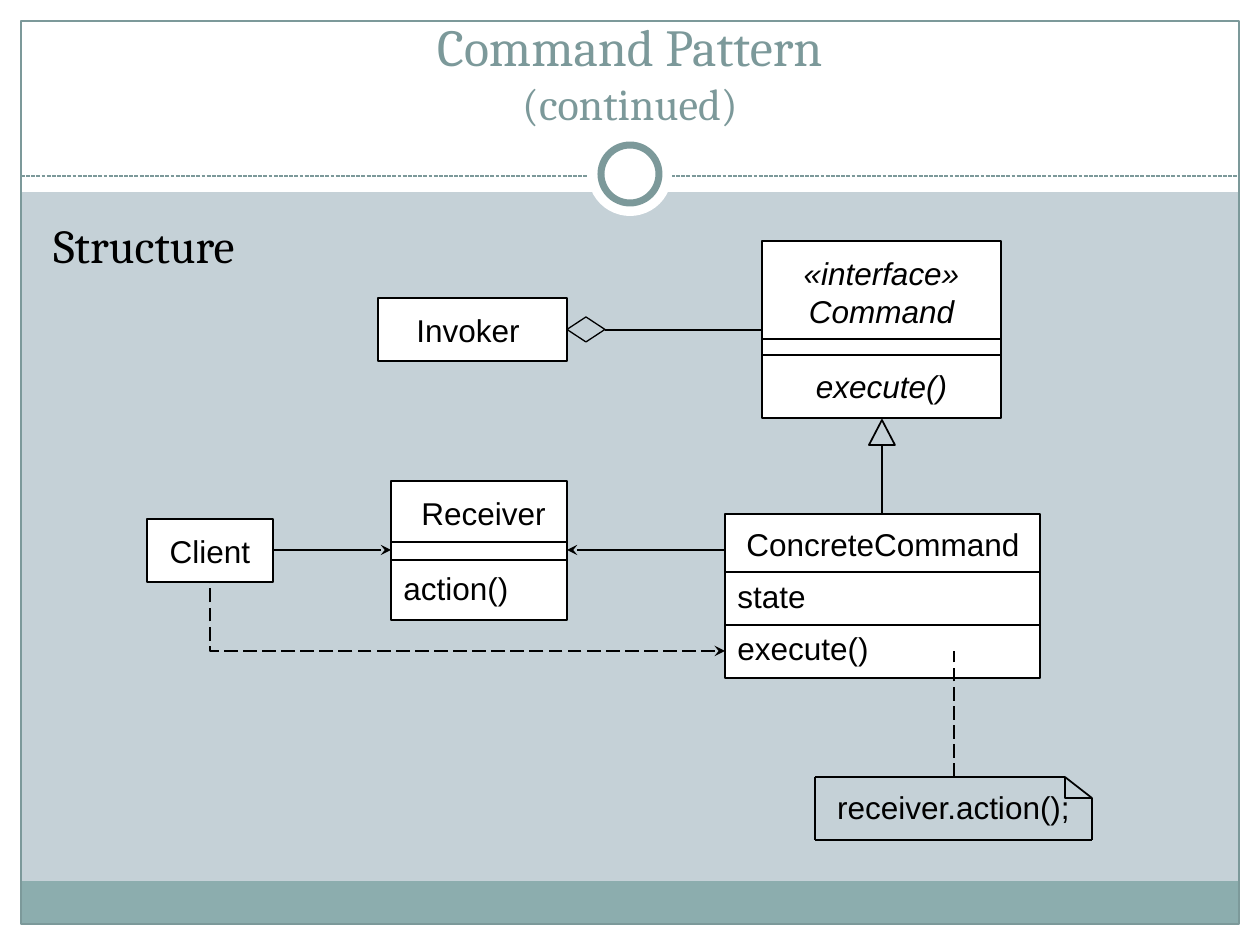
from pptx import Presentation, util as u
from pptx.dml import color
from pptx.enum import dml, shapes, text
from pptx.oxml import ns, xmlchemy

SCALE = 914400 / 126
WIDTH, HEIGHT = 1260, 945
MARGIN = 21
HEADER_BOTTOM, FOOTER_TOP = 192, 881
BLACK, WHITE, TEAL, SEA, MIST = "000000", "FFFFFF", "7C999A", "8CADAE", "C5D1D7"
LABEL = {"name": "Arial", "size": u.Pt(18)}
ITALIC = {**LABEL, "italic": True}
PRESET = shapes.MSO_SHAPE
CENTER, LEFT = text.PP_ALIGN.CENTER, text.PP_ALIGN.LEFT
LONG_DASH = dml.MSO_LINE.LONG_DASH


def px(length):
    """Turn pixels into EMU."""
    return u.Emu(round(length * SCALE))


def rgb(value):
    """Turn a hex string into a colour."""
    return color.RGBColor.from_string(value)


def assign(target, values):
    """Set each named attribute of the target."""
    for name, value in values.items():
        setattr(target, name, value)


def draw_line_format(line, ink, points, dash=None):
    """Give a line its colour, width and dash."""
    line.color.rgb = rgb(ink)
    assign(line, {"width": u.Pt(points), "dash_style": dash})


def add_shape(tree, preset, box, fill=None, ink=None, points=1):
    """Add a flat preset shape in the box."""
    shape = tree.add_shape(preset, *map(px, box))
    shape.shadow.inherit = False
    if fill:
        shape.fill.solid()
        shape.fill.fore_color.rgb = rgb(fill)
    else:
        shape.fill.background()
    if ink:
        draw_line_format(shape.line, ink, points)
    else:
        shape.line.fill.background()
    return shape


def add_line(tree, points, ink=BLACK, weight=1, dash=None, arrow=None, elbow=False):
    """Join two points, with an arrow at the named end ("head" or "tail")."""
    kind = shapes.MSO_CONNECTOR.ELBOW if elbow else shapes.MSO_CONNECTOR.STRAIGHT
    connector = tree.add_connector(kind, *map(px, points))
    draw_line_format(connector.line, ink, weight, dash)
    properties = connector._element.spPr
    if elbow:
        properties.find(ns.qn("a:prstGeom")).set("prst", "bentConnector2")
    if arrow:
        end = xmlchemy.OxmlElement(f"a:{arrow}End")
        end.set("type", "stealth")
        properties.find(ns.qn("a:ln")).append(end)
    properties.append(xmlchemy.OxmlElement("a:effectLst"))


def write(shape, rows, align=CENTER, anchor=text.MSO_ANCHOR.MIDDLE, wrap=True):
    """Write rows of (text, font, space before in points, indent in pixels)."""
    frame = shape.text_frame
    assign(frame, {"word_wrap": wrap, "vertical_anchor": anchor})
    for index, (words, font, space, indent) in enumerate(rows):
        paragraph = frame.add_paragraph() if index else frame.paragraphs[0]
        assign(paragraph, {"alignment": align, "space_before": u.Pt(space)})
        if indent:
            paragraph._p.get_or_add_pPr().set("marL", str(px(indent)))
        run = paragraph.add_run()
        run.text = words
        assign(run.font, font)
        run.font.color.rgb = rgb(BLACK)


def add_backdrop(slide, box):
    """Draw the header, footer, margins, frame and ring in the box."""
    left, top, width, height = box
    right, bottom = left + width, top + height
    slide.background.fill.solid()
    slide.background.fill.fore_color.rgb = rgb(MIST)
    tree = slide.shapes
    inner = width - 2 * MARGIN
    for band, fill in [
        ((left, bottom - MARGIN, width, MARGIN), WHITE),
        ((left, top, width, HEADER_BOTTOM), WHITE),
        ((left, top, MARGIN, height), WHITE),
        ((right - MARGIN, top, MARGIN, height), WHITE),
        ((left + MARGIN, FOOTER_TOP, inner, bottom - MARGIN - FOOTER_TOP), SEA),
    ]:
        add_shape(tree, PRESET.RECTANGLE, band, fill)
    add_shape(tree, PRESET.RECTANGLE,
              (left + MARGIN, top + MARGIN, inner, height - 2 * MARGIN), None, TEAL, 0.75)
    add_line(tree, (left + MARGIN, top + 176, right - MARGIN, top + 176),
             TEAL, 0.75, dml.MSO_LINE.SQUARE_DOT)
    for size, ink in [(84, None), (58, TEAL)]:
        ring = (left + (width - size) / 2, top + 174 - size / 2, size, size)
        add_shape(tree, PRESET.OVAL, ring, WHITE, ink, 4)


def add_title(slide, box, lines):
    """Write the title lines, given as (text, points), at the foot of the box."""
    frame = slide.shapes.add_textbox(*map(px, box)).text_frame
    assign(frame, {"word_wrap": True, "vertical_anchor": text.MSO_ANCHOR.BOTTOM})
    paragraph = frame.paragraphs[0]
    paragraph.alignment = CENTER
    for index, (words, points) in enumerate(lines):
        if index:
            paragraph.add_line_break()
        run = paragraph.add_run()
        run.text = words
        assign(run.font, {"name": "Cambria", "size": u.Pt(points)})
        run.font.color.rgb = rgb(TEAL)


def add_heading(slide, box, words):
    """Write the body heading at the top left of the box."""
    shape = slide.shapes.add_textbox(*map(px, box))
    font = {"name": "Cambria", "size": u.Pt(27)}
    write(shape, [(words, font, 5, 0)], LEFT, text.MSO_ANCHOR.TOP)


def add_class(slide, box, rows, dividers=(), align=CENTER):
    """Draw a class box with dividers at distances from its top."""
    left, top, width, _ = box
    tree = slide.shapes.add_group_shape().shapes if dividers else slide.shapes
    write(add_shape(tree, PRESET.RECTANGLE, box, WHITE, BLACK), rows, align)
    for offset in dividers:
        add_line(tree, (left, top + offset, left + width, top + offset))


def add_note(slide, box, words):
    """Draw a note with a folded corner in the box."""
    left, top, width, height = box
    right, bottom = left + width, top + height
    fold_width, fold_height = 27, 21
    fold = right - fold_width
    tree = slide.shapes.add_group_shape().shapes
    add_shape(tree, PRESET.RIGHT_TRIANGLE, (fold, top, fold_width, fold_height), None, BLACK)
    for edge in [(left, top, left, bottom), (left, bottom, right, bottom),
                 (left, top, fold, top), (right, top + fold_height, right, bottom)]:
        add_line(tree, edge)
    label = tree.add_textbox(*map(px, (left + 8, top + 5, 261, 50)))
    write(label, [(words, LABEL, 0, 0)], anchor=text.MSO_ANCHOR.TOP, wrap=False)


def add_relations(slide, box):
    """Draw the links between the classes, measured from the box corner."""
    x, y, _, _ = box
    tree = slide.shapes
    add_shape(tree, PRESET.ISOSCELES_TRIANGLE, (x + 869, y + 420, 26, 25), None, BLACK)
    add_shape(tree, PRESET.DIAMOND, (x + 567, y + 317, 38, 25), None, BLACK, 0.75)
    for (x1, y1, x2, y2), style in [
        ((882, 445, 882, 514), {}),
        ((605, 330, 762, 330), {}),
        ((273, 550, 391, 550), {"arrow": "tail"}),
        ((725, 550, 567, 550), {"arrow": "tail"}),
        ((725, 651, 210, 582), {"arrow": "head", "dash": LONG_DASH, "elbow": True}),
        ((954, 777, 954, 651), {"dash": LONG_DASH}),
    ]:
        add_line(tree, (x + x1, y + y1, x + x2, y + y2), **style)


def add_structure_slide(presentation, box):
    """Build the pattern structure slide."""
    slide = presentation.slides.add_slide(presentation.slide_layouts[6])
    add_backdrop(slide, box)
    add_title(slide, (42, 31, 1176, 105), [("Command Pattern", 29.7), ("(continued)", 25.2)])
    add_heading(slide, (41, 210, 1172, 630), "Structure")
    add_class(slide, (378, 298, 189, 63), [("Invoker ", LABEL, 0, 0)])
    add_class(slide, (147, 519, 126, 63), [("Client", LABEL, 0, 0)])
    add_class(slide, (762, 241, 239, 177),
              [("«interface»", ITALIC, 0, 0), ("Command", ITALIC, 0, 0),
               ("execute()", ITALIC, 21, 0)], (98, 114))
    add_class(slide, (391, 481, 176, 139),
              [("Receiver", LABEL, 0, 18), ("action()", LABEL, 21, 0)], (61, 79), LEFT)
    add_class(slide, (725, 514, 315, 164),
              [("ConcreteCommand", LABEL, 8, 9), ("state", LABEL, 8, 0),
               ("execute()", LABEL, 8, 0)], (58, 111), LEFT)
    add_note(slide, (815, 777, 277, 63), "receiver.action();")
    add_relations(slide, box)


presentation = Presentation()
assign(presentation, {"slide_width": px(WIDTH), "slide_height": px(HEIGHT)})
add_structure_slide(presentation, (0, 0, WIDTH, HEIGHT))
presentation.save("out.pptx")
